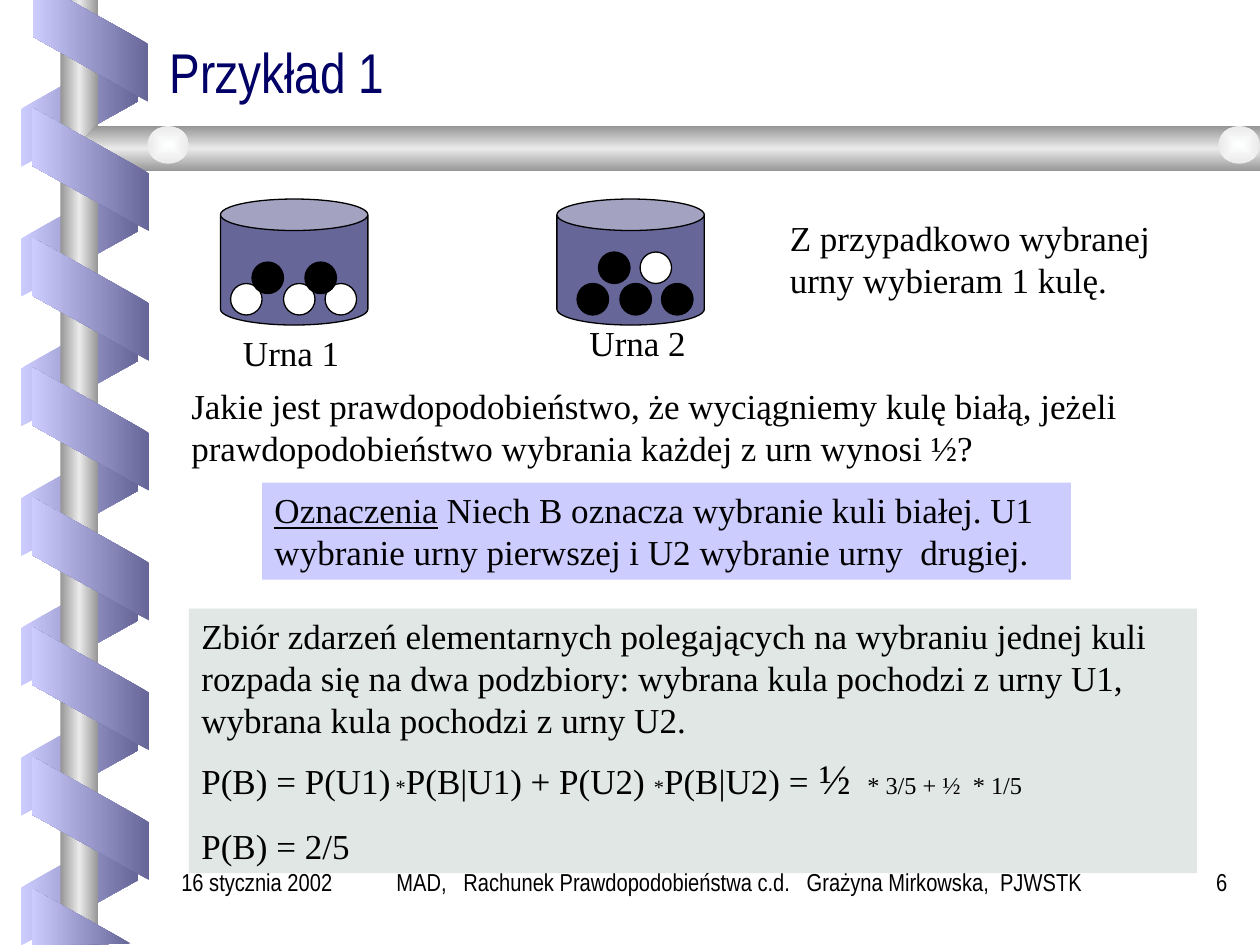
from lxml import etree
from pptx import Presentation
from pptx.dml.color import RGBColor
from pptx.enum.shapes import MSO_SHAPE
from pptx.enum.text import MSO_ANCHOR, MSO_AUTO_SIZE, PP_ALIGN
from pptx.oxml.ns import nsdecls, qn
from pptx.util import Inches, Pt

RECTANGLE, OVAL, CAN = MSO_SHAPE.RECTANGLE, MSO_SHAPE.OVAL, MSO_SHAPE.CAN
PARALLELOGRAM = MSO_SHAPE.PARALLELOGRAM
TOP, BOTTOM = MSO_ANCHOR.TOP, MSO_ANCHOR.BOTTOM
FIT_TEXT, FIXED = MSO_AUTO_SIZE.SHAPE_TO_FIT_TEXT, MSO_AUTO_SIZE.NONE
LEFT, CENTER, RIGHT = PP_ALIGN.LEFT, PP_ALIGN.CENTER, PP_ALIGN.RIGHT
SERIF, NARROW = "Times New Roman", "Arial Narrow"
COLORS = {
    "black": "000000", "white": "FFFFFF", "title": "000066",
    "lilac": "CCCCFF", "violet": "666699", "panel": "E1E7E4",
    "steel": "969696", "shine": "EAEAEA", "pearl": "FEFFFF",
}
METAL = ("steel", "shine", "steel")
LOWERED = {"baseline": "-2000"}


def color(name):
    return RGBColor.from_string(COLORS[name])


def style_shape(shape, fill, line=None):
    shape.shadow.inherit = False
    shape.fill.solid()
    shape.fill.fore_color.rgb = color(fill)
    if line:
        shape.line.color.rgb = color(line)
        shape.line.width = Pt(0.75)
    else:
        shape.line.fill.background()


def add_shape(slide, kind, box, fill, line=None):
    shape = slide.shapes.add_shape(kind, *map(Inches, box))
    style_shape(shape, fill, line)
    return shape


def set_gradient(shape, names, angle=None):
    """Spread the colours evenly; without an angle they run outwards from the centre."""
    last = len(names) - 1
    stops = "".join(
        f'<a:gs pos="{100000 * i // last}"><a:srgbClr val="{COLORS[name]}"/></a:gs>'
        for i, name in enumerate(names))
    if angle is None:
        direction = ('<a:path path="rect"><a:fillToRect l="50000" t="50000" '
                     'r="50000" b="50000"/></a:path>')
    else:
        direction = f'<a:lin ang="{angle * 60000}" scaled="1"/>'
    gradient = etree.fromstring(
        f'<a:gradFill {nsdecls("a")} rotWithShape="0">'
        f'<a:gsLst>{stops}</a:gsLst>{direction}</a:gradFill>')
    properties = shape.element.spPr
    properties.replace(properties.find(qn("a:solidFill")), gradient)


def add_outline(slide, points, names, angle):
    builder = slide.shapes.build_freeform(
        *map(Inches, points[0]), scale=1.0)
    builder.add_line_segments(
        [tuple(map(Inches, point)) for point in points[1:]], close=True)
    shape = builder.convert_to_shape()
    style_shape(shape, names[0])
    set_gradient(shape, names, angle)


def add_ribbons(slide, left, top, count, rotation, names, flipped=False):
    for i in range(count):
        box = (left, top + 1.03 * i, 0.98, 0.93)
        ribbon = add_shape(slide, PARALLELOGRAM, box, names[0])
        ribbon.adjustments[0] = 0.56
        ribbon.rotation = rotation
        if flipped:
            ribbon.element.spPr.find(qn("a:xfrm")).set("flipH", "1")
        set_gradient(ribbon, names, 180)


def add_decoration(slide):
    """Ribbon wound round the vertical pole, with the horizontal bar."""
    add_ribbons(slide, 0.14, 0.37, 7, 90, ("lilac", "violet"), flipped=True)
    pole = add_shape(slide, RECTANGLE, (0.48, 0, 0.3, 7.5), "steel")
    set_gradient(pole, METAL, 180)
    bar = [(10, 1), (0.76, 1), (0.6, 1.18), (0.76, 1.36), (10, 1.36)]
    add_outline(slide, bar, METAL, 90)
    for left in (1.17, 9.67):
        knob = add_shape(slide, OVAL, (left, 1, 0.33, 0.3), "pearl")
        set_gradient(knob, ("pearl", "shine"))
    front = ("violet", "lilac")
    add_ribbons(slide, 0.23, 0.88, 6, 270, front)
    top_end = [(0.26, 0), (0.26, 0.29), (1.18, 0.81), (1.18, 0.35), (0.55, 0)]
    bottom_end = [(1.04, 7.49), (0.25, 7.05), (0.25, 7.5)]
    for points in (top_end, bottom_end):
        add_outline(slide, points, front, 180)


def add_text(slide, box, paragraphs, fill=None, font=SERIF, size=20,
             ink="black", align=LEFT, anchor=TOP, fit=FIT_TEXT,
             line_spacing=None):
    """Each paragraph is a list of (text, run attributes)."""
    if fill:
        shape = add_shape(slide, RECTANGLE, box, fill)
    else:
        shape = slide.shapes.add_textbox(*map(Inches, box))
    frame = shape.text_frame
    frame_format = {"word_wrap": True, "auto_size": fit, "vertical_anchor": anchor}
    for name, value in frame_format.items():
        setattr(frame, name, value)
    for i, runs in enumerate(paragraphs):
        paragraph = frame.add_paragraph() if i else frame.paragraphs[0]
        paragraph.alignment = align
        if line_spacing:
            paragraph.line_spacing = line_spacing
        if i:
            paragraph.space_before = Pt(12.5)
        for text, attributes in runs:
            run = paragraph.add_run()
            run.text = text
            run.font.color.rgb = color(ink)
            run_format = {"name": font, "size": Pt(size)}
            for name, value in run_format.items():
                setattr(run.font, name, value)
            for name, value in attributes.items():
                run.font._element.set(name, value)


def add_urn(slide, left, top, balls):
    add_shape(slide, CAN, (left, top, 1.17, 1), "violet", "black")
    for x, y, fill in balls:
        add_shape(slide, OVAL, (left + x, top + y, 0.25, 0.25), fill, "black")


def add_urns(slide):
    add_urn(slide, 1.75, 1.58, [
        (0.08, 0.67, "white"), (0.5, 0.67, "white"), (0.83, 0.67, "white"),
        (0.25, 0.5, "black"), (0.67, 0.5, "black")])
    add_urn(slide, 4.42, 1.58, [
        (0.16, 0.67, "black"), (0.5, 0.67, "black"), (0.83, 0.67, "black"),
        (0.33, 0.42, "black"), (0.66, 0.42, "white")])
    add_text(slide, (1.83, 2.58, 1.42, 0.44), [[("Urna 1", {})]])
    add_text(slide, (4.58, 2.5, 1.42, 0.44), [[("Urna 2", {})]])


def add_problem(slide):
    add_text(slide, (6.17, 1.67, 3.17, 0.77), [[
        ("Z przypadkowo wybranej urny wybieram 1 kulę.", {})]])
    add_text(slide, (1.42, 3, 8, 0.77), [[
        ("Jakie jest prawdopodobieństwo, że wyciągniemy kulę białą, jeżeli "
         "prawdopodobieństwo wybrania każdej z urn wynosi ½?", {})]])
    add_text(slide, (2.08, 3.83, 6.42, 0.77), [[
        ("Oznaczenia", {"u": "sng"}),
        (" Niech B oznacza wybranie kuli białej. U1 wybranie urny pierwszej "
         "i U2 wybranie urny  drugiej.", {})]], "lilac")


def add_solution(slide):
    add_text(slide, (1.5, 4.83, 8, 1.1), [[
        ("Zbiór zdarzeń elementarnych polegających na wybraniu jednej kuli "
         "rozpada się na dwa podzbiory: wybrana kula pochodzi z urny U1, "
         "wybrana kula pochodzi z urny U2.", {})]], "panel")
    large = {"sz": "2400"}
    formula = [
        ("P(B) = P(U1)", {}), (" *", LOWERED), ("P(B|U1) + P(U2) ", {}),
        ("*", LOWERED), ("P(B|U2) =", {}), (" ½ ", large),
        (" * 3/5 + ½  * 1/5", {**large, **LOWERED})]
    add_text(slide, (1.5, 5.92, 8, 1.01),
             [formula, [("P(B) = 2/5", {})]], "panel")


def add_footer(slide, top):
    parts = [
        (2.58, 6.58, CENTER, "MAD,   Rachunek Prawdopodobieństwa c.d.   "
                             "Grażyna Mirkowska,  PJWSTK"),
        (9, 0.84, RIGHT, "6"),
        (1.34, 1.41, LEFT, "16 stycznia 2002"),
    ]
    for left, width, align, text in parts:
        add_text(slide, (left, top, width, 0.5), [[(text, {})]],
                 font=NARROW, size=14, align=align, fit=FIXED)


def main():
    presentation = Presentation()
    presentation.slide_width, presentation.slide_height = Inches(10), Inches(7.5)
    slide = presentation.slides.add_slide(presentation.slide_layouts[6])
    add_decoration(slide)
    add_text(slide, (1.25, 0.25, 8.5, 0.63), [[("Przykład 1", {})]],
             font=NARROW, size=32, ink="title", anchor=BOTTOM, fit=FIXED,
             line_spacing=0.8)
    add_urns(slide)
    add_problem(slide)
    add_solution(slide)
    add_footer(slide, 6.83)
    presentation.save("out.pptx")


if __name__ == "__main__":
    main()
